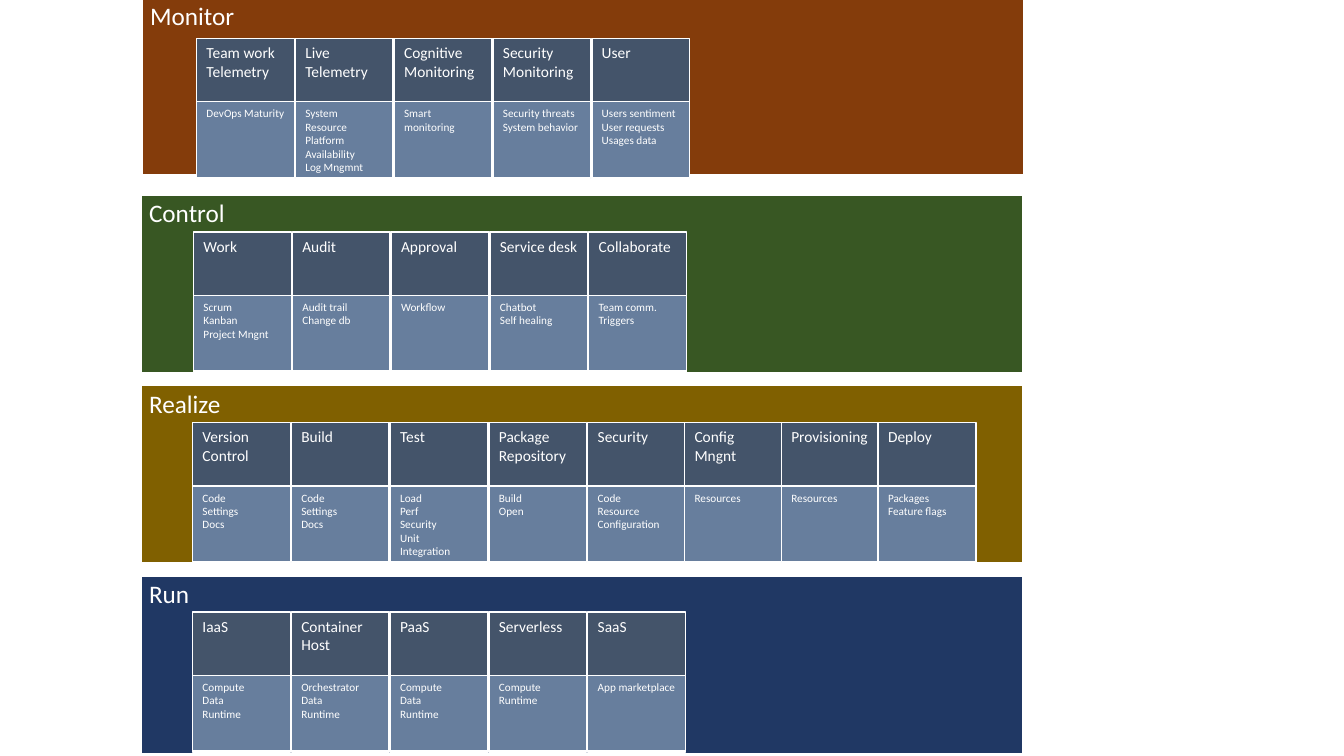
from dataclasses import dataclass

from pptx import Presentation
from pptx.dml.color import RGBColor
from pptx.enum.shapes import MSO_SHAPE
from pptx.enum.text import MSO_ANCHOR, PP_ALIGN
from pptx.slide import Slide
from pptx.util import Emu, Pt

EMU_PER_PX = 9144  # 100 px to the inch

WHITE = RGBColor(0xFF, 0xFF, 0xFF)
RUST = RGBColor(0x84, 0x3C, 0x0B)
GREEN = RGBColor(0x38, 0x57, 0x23)
OLIVE = RGBColor(0x80, 0x60, 0x00)
NAVY = RGBColor(0x20, 0x38, 0x64)
SLATE = RGBColor(0x44, 0x54, 0x6A)
STEEL = RGBColor(0x67, 0x7E, 0x9D)

STAGE_WIDTH, STAGE_HEIGHT = 879, 181
TILE_WIDTH, TILE_HEIGHT = 97, 139
DETAIL_OFFSET, DETAIL_HEIGHT = 63, 75
WIDE_PITCH, TIGHT_PITCH = 98, 96
WIDE_STEPS = 4  # later tiles stand closer together


def px(length: int) -> Emu:
    return Emu(length * EMU_PER_PX)


@dataclass(frozen=True)
class BoxStyle:
    fill: RGBColor
    line_pt: float
    font_pt: int


@dataclass(frozen=True)
class Tile:
    heading: str
    details: str


@dataclass(frozen=True)
class Stage:
    name: str
    color: RGBColor
    left: int
    top: int
    tiles_left: int
    tiles_top: int
    tiles: tuple[Tile, ...]


HEADING = BoxStyle(SLATE, 1, 11)
DETAIL = BoxStyle(STEEL, 1, 8)
FRAME_FORMAT = {
    "word_wrap": True,
    "vertical_anchor": MSO_ANCHOR.TOP,
    "margin_left": px(10),
    "margin_right": px(9),
    "margin_top": px(5),
    "margin_bottom": px(5),
}

STAGES = (
    Stage("Monitor", RUST, 139, -5, 195, 38, (
        Tile("Team work Telemetry", "DevOps Maturity"),
        Tile("Live Telemetry", "System\nResource\nPlatform\nAvailability\nLog Mngmnt"),
        Tile("Cognitive Monitoring", "Smart\vmonitoring"),
        Tile("Security Monitoring", "Security threats\nSystem behavior"),
        Tile("User", "Users sentiment\nUser requests\nUsages data"),
    )),
    Stage("Control", GREEN, 138, 191, 192, 230, (
        Tile("Work", "Scrum\nKanban\nProject Mngnt"),
        Tile("Audit", "Audit trail\nChange db"),
        Tile("Approval", "Workflow"),
        Tile("Service desk", "Chatbot\nSelf healing"),
        Tile("Collaborate", "Team comm.\nTriggers"),
    )),
    Stage("Realize", OLIVE, 138, 380, 191, 419, (
        Tile("Version Control", "Code\nSettings\nDocs"),
        Tile("Build", "Code\nSettings\nDocs"),
        Tile("Test", "Load\nPerf\nSecurity\nUnit\nIntegration"),
        Tile("Package Repository", "Build\nOpen"),
        Tile("Security", "Code\nResource\nConfiguration"),
        Tile("Config Mngnt", "Resources"),
        Tile("Provisioning", "Resources"),
        Tile("Deploy", "Packages\nFeature flags"),
    )),
    Stage("Run", NAVY, 138, 569, 191, 607, (
        Tile("IaaS", "Compute\nData\nRuntime"),
        Tile("Container Host", "Orchestrator\nData\nRuntime"),
        Tile("PaaS", "Compute\nData\nRuntime"),
        Tile("Serverless", "Compute\nRuntime"),
        Tile("SaaS", "App marketplace"),
    )),
)


def draw_box(slide: Slide, left: int, top: int, width: int, height: int,
             text: str, style: BoxStyle) -> None:
    box = slide.shapes.add_shape(
        MSO_SHAPE.RECTANGLE, px(left), px(top), px(width), px(height))
    box.shadow.inherit = False
    box.fill.solid()
    box.fill.fore_color.rgb = style.fill
    box.line.color.rgb = WHITE
    box.line.width = Pt(style.line_pt)

    frame = box.text_frame
    for name, value in FRAME_FORMAT.items():
        setattr(frame, name, value)
    frame.text = text
    for paragraph in frame.paragraphs:
        paragraph.alignment = PP_ALIGN.LEFT
        for run in paragraph.runs:
            run.font.name = "Calibri"
            run.font.size = Pt(style.font_pt)
            run.font.color.rgb = WHITE


def draw_stage(slide: Slide, stage: Stage) -> None:
    # Coloured band with the stage name
    draw_box(slide, stage.left, stage.top, STAGE_WIDTH, STAGE_HEIGHT,
             stage.name, BoxStyle(stage.color, 4.5, 18))

    # Row of tiles, each a heading with a detail panel over its lower part
    for index, tile in enumerate(stage.tiles):
        wide = min(index, WIDE_STEPS)
        left = stage.tiles_left + wide * WIDE_PITCH + (index - wide) * TIGHT_PITCH
        draw_box(slide, left, stage.tiles_top, TILE_WIDTH, TILE_HEIGHT,
                 tile.heading, HEADING)
        draw_box(slide, left, stage.tiles_top + DETAIL_OFFSET, TILE_WIDTH,
                 DETAIL_HEIGHT, tile.details, DETAIL)


def main() -> None:
    presentation = Presentation()
    presentation.slide_width = px(1333)
    presentation.slide_height = px(750)
    slide = presentation.slides.add_slide(presentation.slide_layouts[6])
    for stage in STAGES:
        draw_stage(slide, stage)
    presentation.save("out.pptx")


if __name__ == "__main__":
    main()
